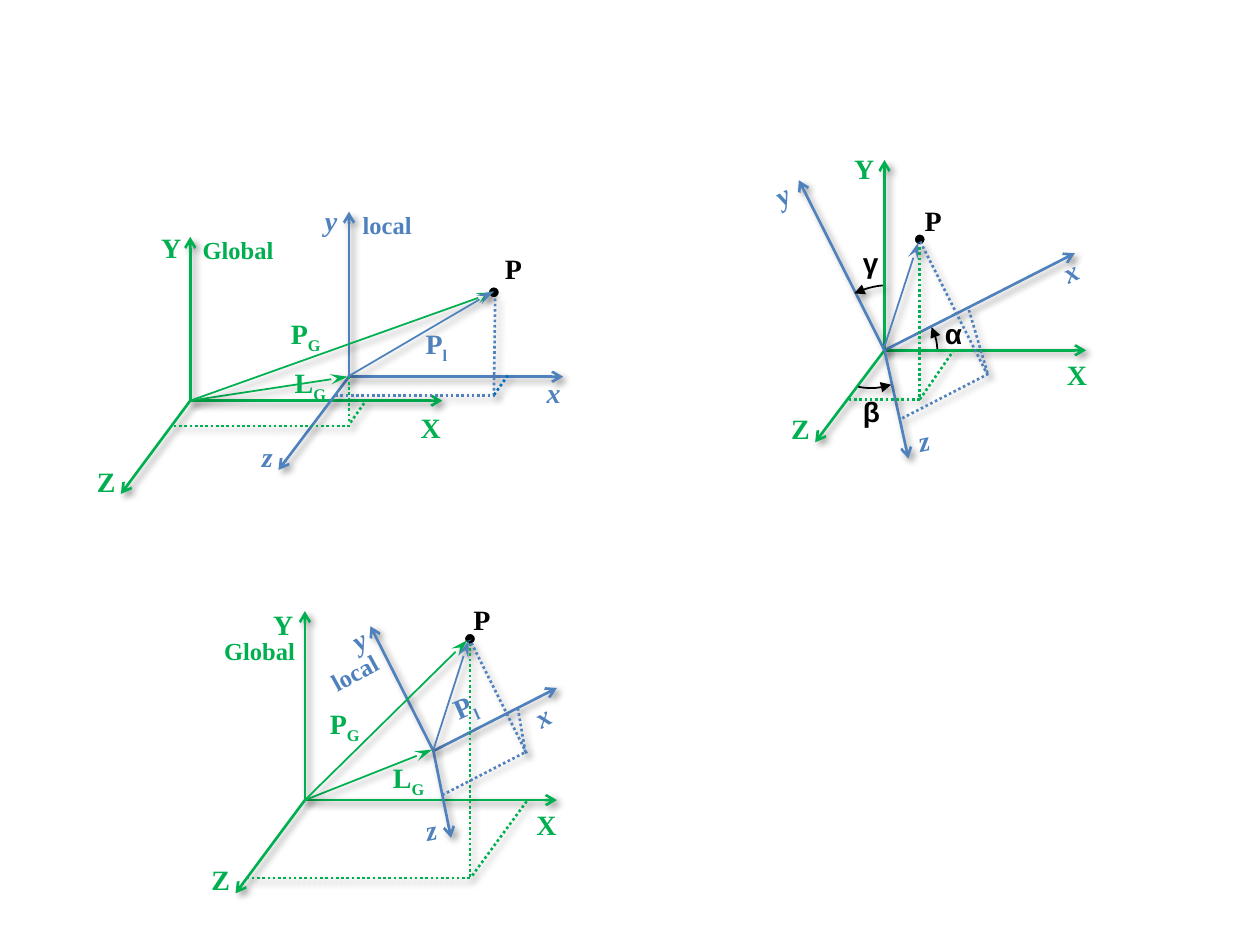
"""Build a slide of three diagrams relating global and local coordinate frames."""
from lxml.etree import SubElement
from pptx import Presentation
from pptx.dml.color import RGBColor
from pptx.enum.dml import MSO_LINE
from pptx.enum.shapes import MSO_CONNECTOR, MSO_SHAPE
from pptx.enum.text import MSO_AUTO_SIZE
from pptx.oxml.ns import qn
from pptx.util import Inches, Pt

GREEN = RGBColor(0x00, 0xB0, 0x50)
BLUE = RGBColor(0x4F, 0x81, 0xBD)
DEEP_BLUE = RGBColor(0x00, 0x70, 0xC0)
BLACK = RGBColor(0x00, 0x00, 0x00)
WHITE = RGBColor(0xFF, 0xFF, 0xFF)
SERIF = "Times New Roman"

deck = Presentation()
deck.slide_width, deck.slide_height = Inches(10), Inches(7.5)
page = deck.slides.add_slide(deck.slide_layouts[6])


def style_stroke(shape, color, width, end=None, arrow=None):
    """Colour a line, give it an optional arrowhead and a soft shadow."""
    shape.line.color.rgb = color
    shape.line.width = Pt(width)
    if arrow:
        length = "lg" if arrow == "stealth" else "med"
        SubElement(shape.line._get_or_add_ln(), qn(f"a:{end}"), type=arrow, len=length)
    effects = SubElement(shape._element.spPr, qn("a:effectLst"))
    shadow = SubElement(effects, qn("a:outerShdw"), blurRad=str(Pt(4)), dist=str(Pt(3)),
                        dir="2700000", algn="tl", rotWithShape="0")
    tint = SubElement(shadow, qn("a:srgbClr"), val="000000")
    SubElement(tint, qn("a:alpha"), val="40000")


def add_line(start, finish, color, width, arrow=None):
    """Draw a straight line between two points given in inches."""
    ends = [Inches(value) for value in (*start, *finish)]
    line = page.shapes.add_connector(MSO_CONNECTOR.STRAIGHT, *ends)
    style_stroke(line, color, width, "tailEnd", arrow)
    return line


points = [(3.68, 5.02, 333.2), (3.87, 2.27, 0), (7.25, 1.85, 333.2)]
for left, top, turn in points:
    dot = page.shapes.add_shape(MSO_SHAPE.OVAL, Inches(left), Inches(top), Inches(0.1), Inches(0.1))
    dot.rotation = turn
    dot.shadow.inherit = False
    dot.fill.solid()
    dot.fill.fore_color.rgb = BLACK
    dot.line.color.rgb = WHITE
    dot.line.width = Pt(1.5)

frames = [
    ((1.51, 3.18), GREEN, [(3.51, 3.18), (1.51, 1.88), (0.96, 3.92)]),
    ((2.77, 2.99), BLUE, [(4.47, 2.99), (2.77, 1.68), (2.21, 3.73)]),
    ((7.02, 2.78), GREEN, [(8.62, 2.78), (7.02, 1.27), (6.47, 3.51)]),
    ((7.02, 2.78), BLUE, [(8.53, 2.01), (6.34, 1.43), (7.21, 3.64)]),
    ((2.42, 6.35), GREEN, [(4.42, 6.35), (2.42, 4.85), (1.87, 7.09)]),
    ((3.44, 5.96), BLUE, [(4.42, 5.46), (2.94, 4.97), (3.58, 6.65)]),
]
for origin, color, tips in frames:
    for tip in tips:
        add_line(origin, tip, color, 1.5, "arrow")

vectors = [
    ((1.51, 3.18), (2.76, 2.99), GREEN),
    ((1.51, 3.18), (3.92, 2.32), GREEN),
    ((2.76, 2.99), (3.92, 2.31), BLUE),
    ((7.02, 2.75), (7.29, 1.92), BLUE),
    ((2.42, 6.35), (3.43, 5.95), GREEN),
    ((2.42, 6.35), (3.71, 5.08), GREEN),
    ((3.44, 5.95), (3.72, 5.08), BLUE),
]
for start, finish, color in vectors:
    add_line(start, finish, color, 1, "stealth")

projections = [
    ((2.77, 2.99), (2.77, 3.36), GREEN),
    ((1.38, 3.38), (2.78, 3.38), GREEN),
    ((2.89, 3.2), (2.77, 3.37), GREEN),
    ((3.93, 2.37), (3.92, 3.14), BLUE),
    ((2.66, 3.14), (3.93, 3.14), BLUE),
    ((4.03, 2.98), (3.91, 3.15), DEEP_BLUE),
    ((7.3, 3.17), (6.72, 3.17), GREEN),
    ((7.3, 3.15), (7.3, 1.95), GREEN),
    ((7.3, 3.17), (7.57, 2.78), GREEN),
    ((7.84, 2.98), (7.3, 1.91), BLUE),
    ((7.16, 3.32), (7.82, 2.98), BLUE),
    ((7.69, 2.46), (7.84, 2.97), BLUE),
    ((3.73, 6.96), (3.73, 5.11), GREEN),
    ((3.73, 6.97), (1.96, 6.97), GREEN),
    ((4.18, 6.36), (3.74, 6.96), GREEN),
    ((3.51, 6.31), (4.17, 5.97), BLUE),
    ((4.18, 5.98), (3.73, 5.08), BLUE),
    ((4.11, 5.62), (4.17, 5.97), BLUE),
]
for start, finish, color in projections:
    add_line(start, finish, color, 1.5).line.dash_style = MSO_LINE.ROUND_DOT

angles = [
    (6.54, 2.35, 0.9, 0.86, 10.6, (195.02, 208.9)),
    (6.47, 2.28, 1, 0.74, 340.3, (155.48, 177.05)),
    (6.61, 2.52, 0.8, 0.54, 339, (58.49, 87.77)),
]
for left, top, width, height, turn, sweep in angles:
    arc = page.shapes.add_shape(MSO_SHAPE.ARC, Inches(left), Inches(top), Inches(width), Inches(height))
    arc.rotation = turn
    arc.adjustments[0], arc.adjustments[1] = sweep
    arc.fill.background()
    style_stroke(arc, BLACK, 1, "headEnd", "triangle")

labels = [
    ("Y", "", 1.18, 1.78, 0.36, 0, GREEN), ("X", "", 3.24, 3.21, 0.36, 0, GREEN),
    ("Z", "", 0.67, 3.64, 0.35, 0, GREEN), ("Global", "", 1.51, 1.82, 0.77, 0, GREEN),
    ("y", "", 2.48, 1.57, 0.3, 0, BLUE), ("x", "", 4.24, 2.93, 0.31, 0, BLUE),
    ("z", "", 1.98, 3.44, 0.29, 0, BLUE), ("local", "", 2.78, 1.62, 0.59, 0, BLUE),
    ("P", "", 3.91, 1.95, 0.34, 0, BLACK), ("P", "G", 2.21, 2.46, 0.45, 0, GREEN),
    ("P", "l", 3.28, 2.54, 0.38, 0, BLUE), ("L", "G", 2.24, 2.85, 0.47, 0, GREEN),
    ("Y", "", 6.68, 1.15, 0.36, 0, GREEN), ("X", "", 8.37, 2.79, 0.36, 0, GREEN),
    ("Z", "", 6.18, 3.22, 0.35, 0, GREEN), ("P", "", 7.24, 1.57, 0.34, 0, BLACK),
    ("y", "", 6.06, 1.36, 0.3, 331.5, BLUE), ("x", "", 8.34, 1.97, 0.31, 334.7, BLUE),
    ("z", "", 7.19, 3.31, 0.29, 348.1, BLUE), ("α", "", 7.4, 2.46, 0.34, 0, BLACK),
    ("γ", "", 6.75, 1.9, 0.29, 0, BLACK), ("β", "", 6.75, 3.08, 0.32, 0, BLACK),
    ("Y", "", 2.07, 4.77, 0.36, 0, GREEN), ("X", "", 4.16, 6.36, 0.36, 0, GREEN),
    ("Z", "", 1.58, 6.8, 0.35, 0, GREEN), ("Global", "", 1.68, 5, 0.77, 0, GREEN),
    ("y", "", 2.7, 4.89, 0.3, 331.5, BLUE), ("x", "", 4.15, 5.5, 0.31, 330, BLUE),
    ("z", "", 3.28, 6.4, 0.29, 349.7, BLUE), ("local", "", 2.52, 5.17, 0.59, 331.1, BLUE),
    ("P", "", 3.66, 4.73, 0.34, 0, BLACK), ("P", "G", 2.52, 5.56, 0.45, 0, GREEN),
    ("P", "l", 3.5, 5.42, 0.38, 336.1, BLUE), ("L", "G", 3.02, 5.99, 0.47, 0, GREEN),
]
for name, subscript, left, top, width, turn, color in labels:
    is_word = name in ("Global", "local")
    height = 0.34 if is_word else 0.37
    box = page.shapes.add_textbox(Inches(left), Inches(top), Inches(width), Inches(height))
    box.rotation = turn
    box.text_frame.word_wrap = False
    box.text_frame.auto_size = MSO_AUTO_SIZE.SHAPE_TO_FIT_TEXT
    para = box.text_frame.paragraphs[0]
    for text in filter(None, (name, subscript)):
        span = para.add_run()
        span.text = text
        span.font.name = "Arial" if name in "αβγ" else SERIF
        span.font.size = Pt(14 if is_word else 16)
        span.font.bold = True
        span.font.color.rgb = color
        if name in "xyz":
            span.font.italic = True
    if subscript:
        span.font._element.set("baseline", "-25000")

deck.save("out.pptx")
